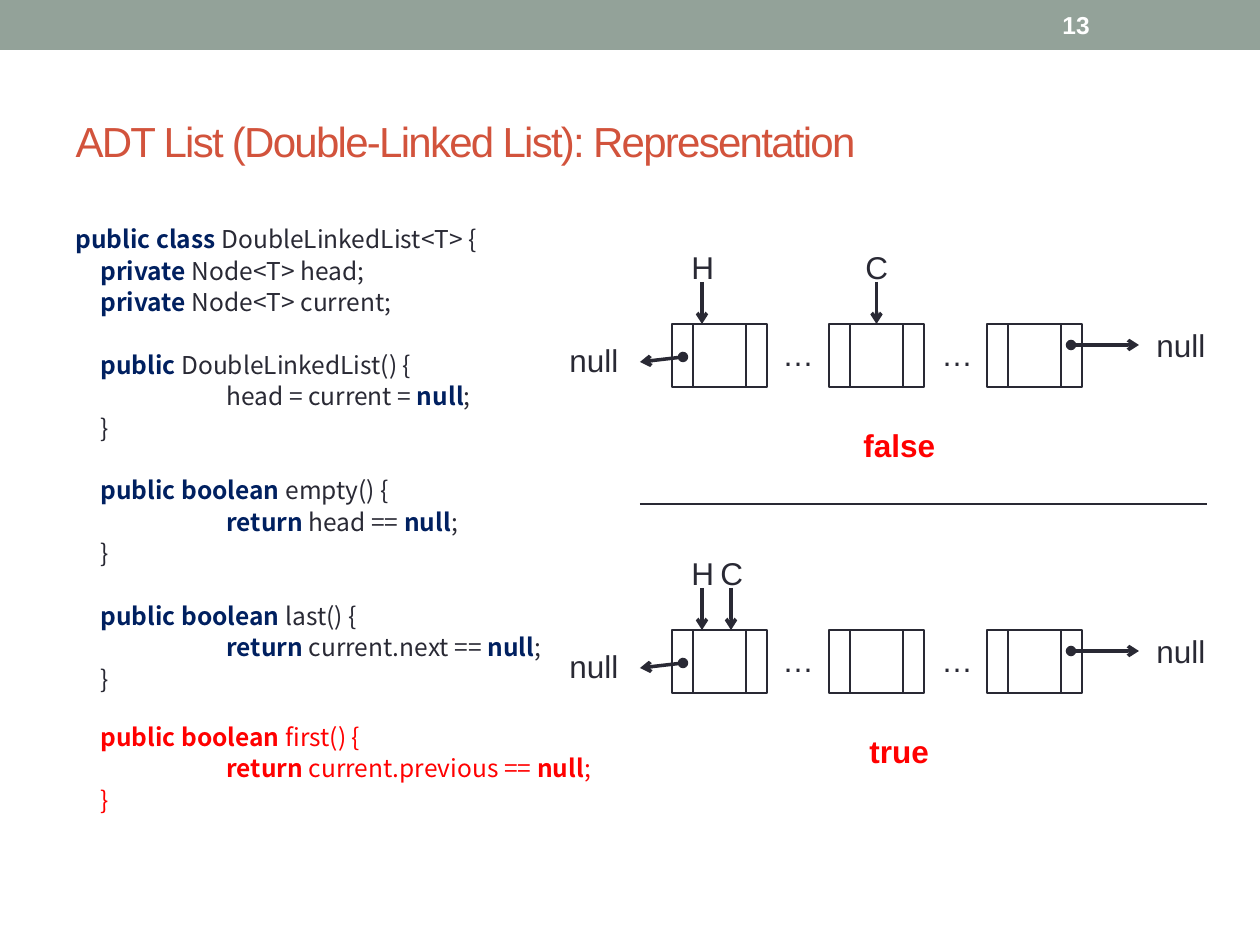
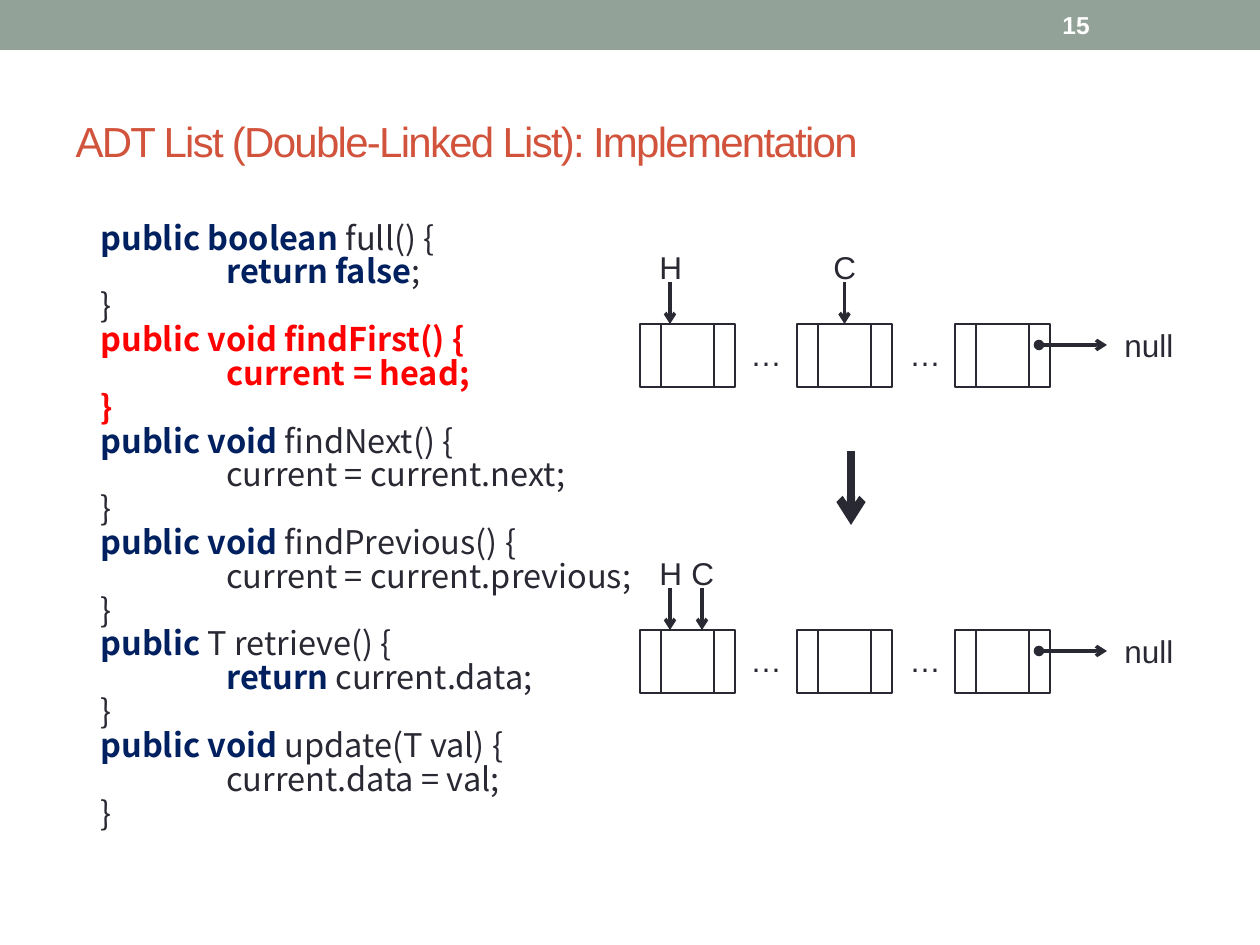
import dataclasses

import pptx
import pptx.dml.color
import pptx.enum.shapes
import pptx.enum.text
import pptx.oxml.ns
import pptx.oxml.xmlchemy
import pptx.util

Pt = pptx.util.Pt
RGB = pptx.dml.color.RGBColor.from_string
Anchor = pptx.enum.text.MSO_ANCHOR
Align = pptx.enum.text.PP_ALIGN
Shape = pptx.enum.shapes.MSO_SHAPE
Line = pptx.enum.shapes.MSO_CONNECTOR
Node = pptx.oxml.xmlchemy.OxmlElement
qn = pptx.oxml.ns.qn
PX = 914400 / 126


@dataclasses.dataclass(frozen=True)
class Theme:
    band: str = "93A299"
    title: str = "D2533C"
    ink: str = "292934"
    key: str = "002060"
    hot: str = "FF0000"
    white: str = "FFFFFF"
    font: str = "Arial"
    code: str = "Noto Sans CJK SC"
    head: float = 24
    label: float = 18
    page: float = 14
    thin: float = 0.75
    thick: float = 2
    bold: float = 4.75


theme = Theme()


def write(par, words, size, color, bold=False, font=theme.font):
    """Add one formatted run to a paragraph."""
    run = par.add_run()
    run.text = words
    run.font.name = font
    run.font.size = Pt(size)
    run.font.bold = bold
    run.font.color.rgb = RGB(color)
    return run


def link(slide, ends, width, head=None, tail=None):
    """Draw a straight line between two points, with optional line ends."""
    line = slide.shapes.add_connector(
        Line.STRAIGHT, *(round(n * PX) for n in ends))
    line.line.color.rgb = RGB(theme.ink)
    line.line.width = Pt(width)
    props = line.element.spPr
    for tag, kind in (("headEnd", head), ("tailEnd", tail)):
        if kind:
            end = Node("a:" + tag)
            end.set("type", kind)
            props.find(qn("a:ln")).append(end)
    props.append(Node("a:effectLst"))
    return line


# Code lines: indent level, then text with keywords between asterisks
slides = [
    dict(
        page="13", title="ADT List (Double-Linked List): Representation",
        left=672, prev=True, near=59, top=221, size=14, pitch=15.15, before=2.8,
        hot=range(12, 15), gaps={3: 17.95, 6: 17.95, 9: 17.95, 12: 15.15},
        code=[
            (0, "*public class *DoubleLinkedList<T> {"),
            (1, "*private* Node<T> head;"),
            (1, "*private* Node<T> current;"),
            (1, "*public *DoubleLinkedList() {"),
            (2, "head = current = *null*;"),
            (1, "}"),
            (1, "*public boolean* empty() {"),
            (2, "*return* head == *null*;"),
            (1, "}"),
            (1, "*public boolean* last() {"),
            (2, "*return *current.next == *null*;"),
            (1, "}"),
            (1, "*public boolean* first() {"),
            (2, "*return *current.previous == *null*;"),
            (1, "}"),
        ],
        rule=((640, 504, 1207, 504), theme.thin, None),
        marks=[(851, 420, 98, "false"), (857, 726, 88, "true")],
    ),
    dict(
        page="15", title="ADT List (Double-Linked List): Implementation",
        left=640, prev=False, near=62, top=223, size=18.6, pitch=15.62, before=3.72,
        hot=range(3, 6), gaps={},
        code=[
            (1, "*public boolean* full() {"),
            (2, "*return false*;"),
            (1, "}"),
            (1, "*public void findFirst() {*"),
            (2, "*current = head;*"),
            (1, "*}*"),
            (1, "*public void *findNext() {"),
            (2, "current = current.next;"),
            (1, "}"),
            (1, "*public void *findPrevious() {"),
            (2, "current = current.previous;"),
            (1, "}"),
            (1, "*public* T retrieve() {"),
            (2, "*return *current.data;"),
            (1, "}"),
            (1, "*public void* update(T val) {"),
            (2, "current.data = val;"),
            (1, "}"),
        ],
        rule=((851, 451, 851, 525), theme.bold, "arrow"),
        marks=[],
    ),
]

INDENTS = (0, 25, 151)
CELLS = ((21, 53), (74, 21), (0, 21))  # body, next, previous: offset and width

deck = pptx.Presentation()
deck.slide_width = round(1260 * PX)
deck.slide_height = round(945 * PX)

for data in slides:
    slide = deck.slides.add_slide(deck.slide_layouts[5])

    band = slide.shapes.add_shape(Shape.RECTANGLE, 0, 0, deck.slide_width, round(50 * PX))
    band.shadow.inherit = False
    band.fill.solid()
    band.fill.fore_color.rgb = RGB(theme.band)
    band.line.fill.background()

    title = slide.shapes.title
    title.left, title.top, title.width, title.height = (
        round(n * PX) for n in (63, 73, 1134, 136))
    title.text_frame.vertical_anchor = Anchor.MIDDLE
    par = title.text_frame.paragraphs[0]
    par.alignment = Align.LEFT
    run = write(par, data["title"], theme.head, theme.title)
    run.font._element.set("spc", "-100")

    # Code listing
    box = slide.shapes.add_textbox(
        *(round(n * PX) for n in (63, data["top"], 1134, 672)))
    frame = box.text_frame
    frame.word_wrap = True
    for i, (level, words) in enumerate(data["code"]):
        par = frame.paragraphs[0] if i == 0 else frame.add_paragraph()
        par.line_spacing = Pt(data["pitch"])
        if i:
            par.space_before = Pt(data["before"] + data["gaps"].get(i, 0))
        par._p.get_or_add_pPr().set("marL", str(round(INDENTS[level] * PX)))
        for k, part in enumerate(words.split("*")):
            key = k % 2 == 1
            color = theme.hot if i in data["hot"] else theme.key if key else theme.ink
            if part:
                write(par, part, data["size"], color, key, theme.code)

    # Labels: left, top, width, height, words, size, colour, bold
    labels = [(1050, 2, 147, 46, data["page"], theme.page, theme.white, True)]
    for x, y, w, words in data["marks"]:
        labels.append((x, y, w, 50, words, theme.label, theme.hot, True))

    # Two states of the list
    left = data["left"]
    for top, tags in ((324, (("H", 30, None), ("C", 204, 1))),
                      (630, (("H", 30, None), ("C", data["near"], None)))):
        bodies = []
        for n in range(3):
            node = slide.shapes.add_group_shape()
            x = left + n * 315 // 2
            for dx, w in CELLS:
                cell = node.shapes.add_shape(
                    Shape.RECTANGLE, *(round(v * PX) for v in (x + dx, top, w, 63)))
                cell.shadow.inherit = False
                cell.fill.background()
                cell.line.color.rgb = RGB(theme.ink)
                cell.line.width = Pt(theme.thin)
                if dx == CELLS[0][0]:
                    bodies.append(cell)

        notes = [(98, 5, 57, "…"), (257, 5, 57, "…"), (472, -4, 83, "null")]
        for name, dx, aim in tags:
            x = left + dx
            arrow = link(slide, (x, top - 42, x, top), theme.thick, tail="arrow")
            if aim is not None:
                arrow.end_connect(bodies[aim], 0)
                arrow.begin_x = arrow.end_x
            notes.append((dx - 23, -82, 49, name))

        link(slide, (left + 399, top + 21, left + 467, top + 21),
             theme.thick, "oval", "arrow")
        if data["prev"]:
            link(slide, (left + 11, top + 33, left - 32, top + 38),
                 theme.thick, "oval", "arrow")
            notes.append((-115, 11, 83, "null"))
        for dx, dy, w, words in notes:
            labels.append((left + dx, top + dy, w, 50, words,
                           theme.label, theme.ink, False))

    ends, width, tail = data["rule"]
    link(slide, ends, width, tail=tail)

    for *place, words, size, color, bold in labels:
        box = slide.shapes.add_textbox(*(round(n * PX) for n in place))
        box.text_frame.word_wrap = False
        box.text_frame.vertical_anchor = Anchor.MIDDLE
        par = box.text_frame.paragraphs[0]
        par.alignment = Align.LEFT
        write(par, words, size, color, bold)

deck.save("out.pptx")
